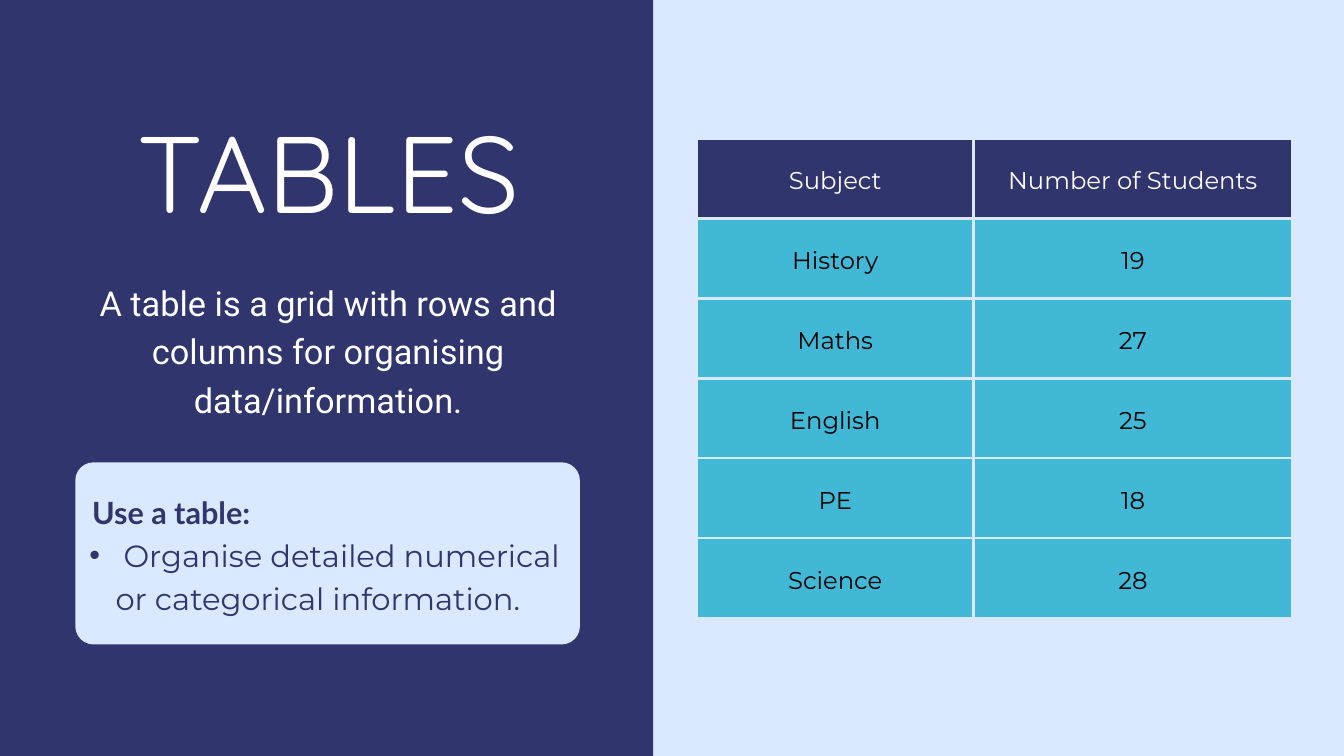
from dataclasses import dataclass

from lxml.etree import SubElement
from pptx import Presentation
from pptx.dml.color import RGBColor
from pptx.enum.shapes import MSO_SHAPE
from pptx.enum.text import MSO_ANCHOR, MSO_AUTO_SIZE, PP_ALIGN
from pptx.oxml.ns import qn
from pptx.util import Inches, Pt

HUES = {"navy": "31356E", "pale": "DAE9FF", "teal": "41B8D5",
        "white": "FFFFFF", "black": "000000"}


@dataclass
class Box:
    left: float
    top: float
    width: float
    height: float

    def emu(self) -> list:
        return [Inches(n) for n in (self.left, self.top, self.width, self.height)]


@dataclass
class Style:
    font: str
    size: float
    lead: float
    hue: str
    align: PP_ALIGN = PP_ALIGN.CENTER
    bold: bool = False


HEAD = Style("Quicksand", 116.4, 111.7, "white")
BODY = Style("Roboto", 36.8, 51.6, "white")
LABEL = Style("Lato", 32.8, 46, "navy", PP_ALIGN.LEFT, True)
POINT = Style("Montserrat", 32.8, 46, "navy", PP_ALIGN.LEFT)
TOP = Style("Montserrat", 26, 36.4, "white")
CELL = Style("Montserrat", 26, 36.4, "black")

ROWS = [("Subject", "Number of Students"), ("History", "19"), ("Maths", "27"),
        ("English", "25"), ("PE", "18"), ("Science", "28")]
COLS = (4.12, 4.74)
ROW = 1.19


def rgb(hue: str) -> RGBColor:
    return RGBColor.from_string(HUES[hue])


def write(para, text: str, style: Style) -> None:
    para.text = text
    para.alignment = style.align
    para.line_spacing = Pt(style.lead)
    for run in para.runs:
        run.font.name = style.font
        run.font.size = Pt(style.size)
        run.font.bold = style.bold
        run.font.color.rgb = rgb(style.hue)


def pad(frame) -> None:
    frame.margin_left = frame.margin_right = 0
    frame.margin_top = frame.margin_bottom = 0
    frame.word_wrap = True
    frame.auto_size = MSO_AUTO_SIZE.NONE
    frame.vertical_anchor = MSO_ANCHOR.TOP


def block(slide, kind: MSO_SHAPE, box: Box, hue: str):
    shape = slide.shapes.add_shape(kind, *box.emu())
    shape.shadow.inherit = False
    shape.fill.solid()
    shape.fill.fore_color.rgb = rgb(hue)
    shape.line.fill.background()
    return shape


def note(slide, box: Box):
    frame = slide.shapes.add_textbox(*box.emu()).text_frame
    pad(frame)
    return frame


def indent(para, left: float, hang: float = 0, mark: str = "") -> None:
    props = para._p.get_or_add_pPr()
    props.set("marL", str(Inches(left)))
    props.set("indent", str(Inches(hang)))
    if mark:
        SubElement(props, qn("a:buFont"), typeface="Arial")
        SubElement(props, qn("a:buChar"), char=mark)


def border(cell, hue: str, width: float) -> None:
    props = cell._tc.get_or_add_tcPr()
    for spot, side in enumerate(("lnL", "lnR", "lnT", "lnB")):
        line = props.makeelement(qn(f"a:{side}"), {"w": str(Pt(width))})
        fill = SubElement(line, qn("a:solidFill"))
        SubElement(fill, qn("a:srgbClr"), val=HUES[hue])
        props.insert(spot, line)


def fill_cell(cell, text: str, style: Style, hue: str) -> None:
    cell.fill.solid()
    cell.fill.fore_color.rgb = rgb(hue)
    cell.margin_left = cell.margin_right = Inches(0.21)
    cell.margin_top = cell.margin_bottom = Inches(0.21)
    cell.vertical_anchor = MSO_ANCHOR.MIDDLE
    write(cell.text_frame.paragraphs[0], text, style)
    border(cell, "pale", 3)


def add_grid(slide, left: float, top: float) -> None:
    box = Box(left, top, sum(COLS), ROW * len(ROWS))
    table = slide.shapes.add_table(len(ROWS), len(COLS), *box.emu()).table
    table.first_row = table.horz_banding = False
    for col, width in zip(table.columns, COLS):
        col.width = Inches(width)
    for r, row in enumerate(ROWS):
        table.rows[r].height = Inches(ROW)
        style, hue = (CELL, "teal") if r else (TOP, "navy")
        for c, text in enumerate(row):
            fill_cell(table.cell(r, c), text, style, hue)


def main() -> None:
    deck = Presentation()
    deck.slide_width, deck.slide_height = Inches(20), Inches(11.25)
    slide = deck.slides.add_slide(deck.slide_layouts[5])
    slide.background.fill.solid()
    slide.background.fill.fore_color.rgb = rgb("pale")

    panel = block(slide, MSO_SHAPE.RECTANGLE, Box(-0.4, -0.68, 10.12, 12.26), "navy")
    title = slide.shapes.title
    title.element.addprevious(panel.element)
    title.left, title.top, title.width, title.height = Box(1.85, 1.95, 6.07, 1.64).emu()
    pad(title.text_frame)
    write(title.text_frame.paragraphs[0], "TABLES", HEAD)

    add_grid(slide, 10.37, 2.06)

    card = block(slide, MSO_SHAPE.ROUNDED_RECTANGLE, Box(1.12, 6.88, 7.51, 2.71), "pale")
    card.adjustments[0] = 0.1

    intro = note(slide, Box(1.44, 4.1, 6.89, 2.15))
    write(intro.paragraphs[0], "A table is a grid with rows and columns "
          "for organising data/information.", BODY)

    usage = note(slide, Box(0.94, 7.26, 7.44, 1.88))
    lead = usage.paragraphs[0]
    write(lead, "Use a table:", LABEL)
    indent(lead, 0.43)
    point = usage.add_paragraph()
    point.level = 1
    write(point, " Organise detailed numerical or categorical information.", POINT)
    indent(point, 0.78, -0.39, "•")

    deck.save("out.pptx")


if __name__ == "__main__":
    main()
